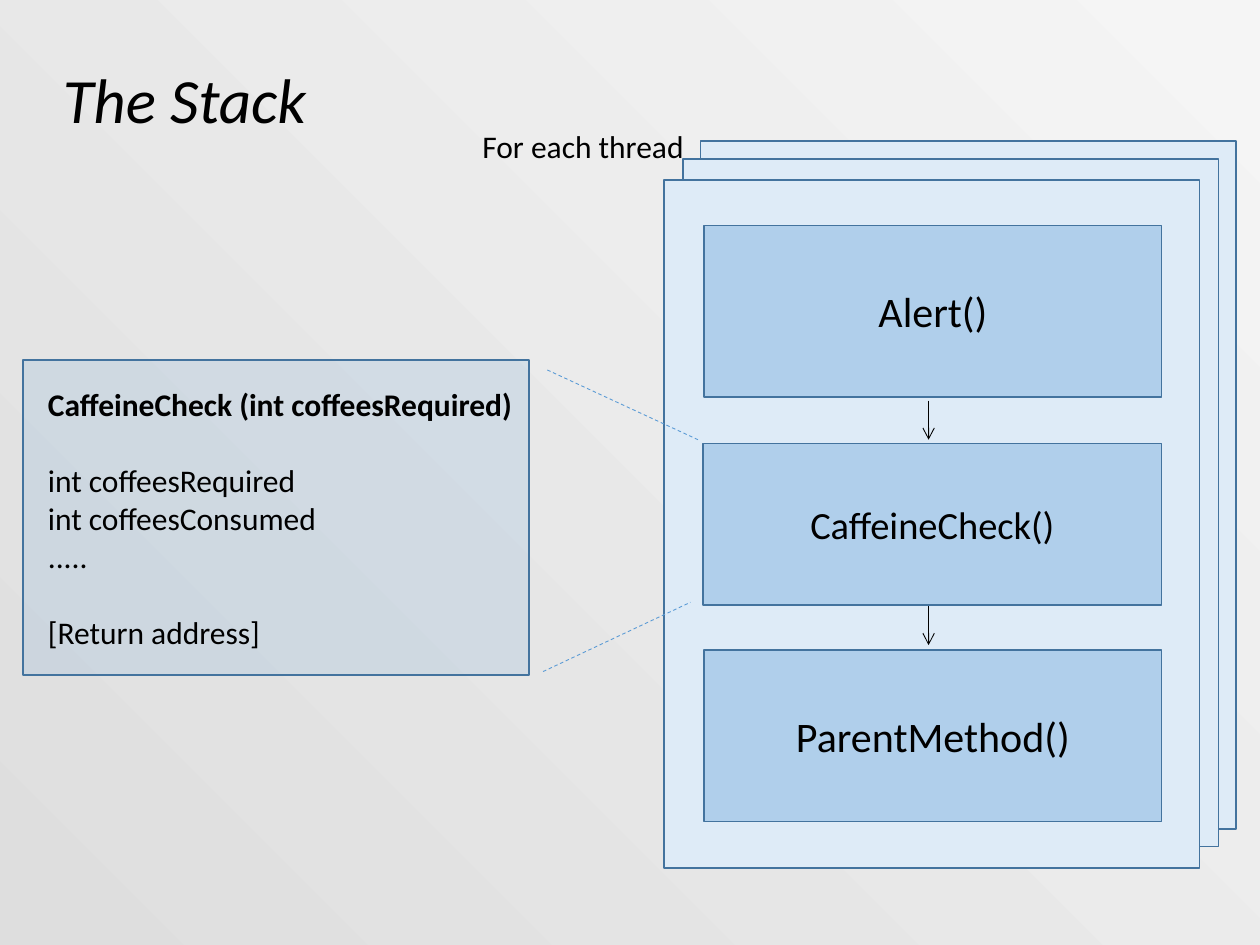
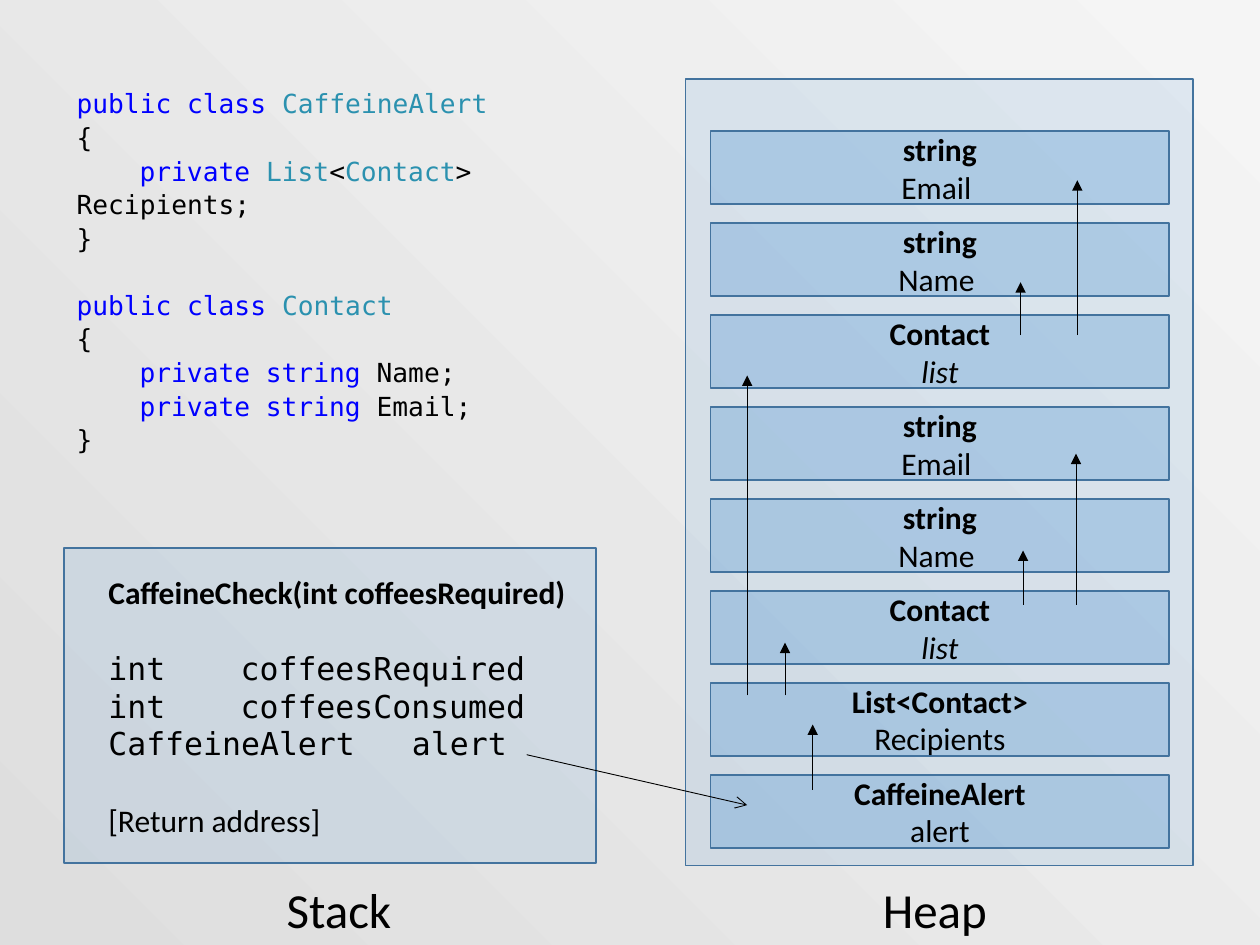
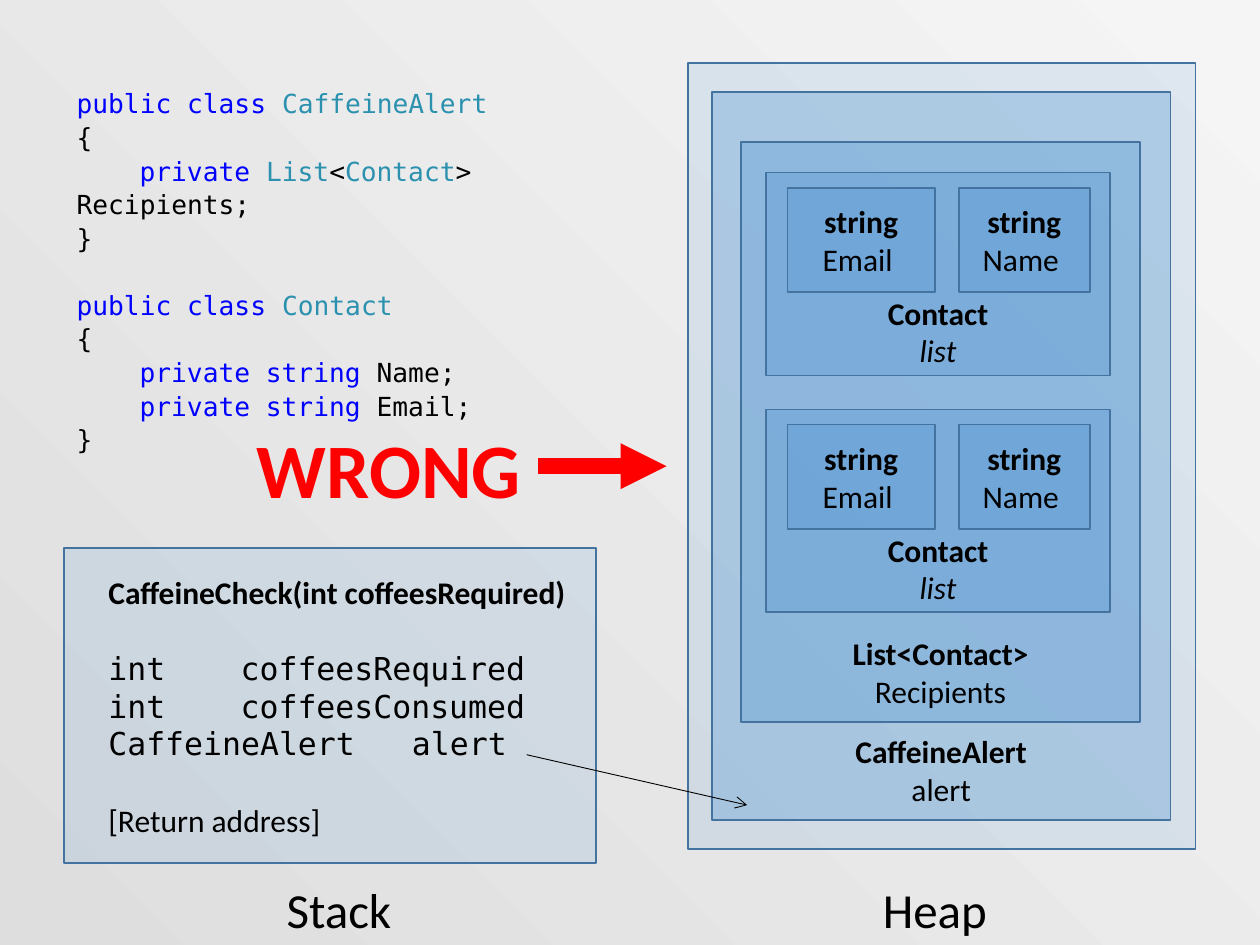
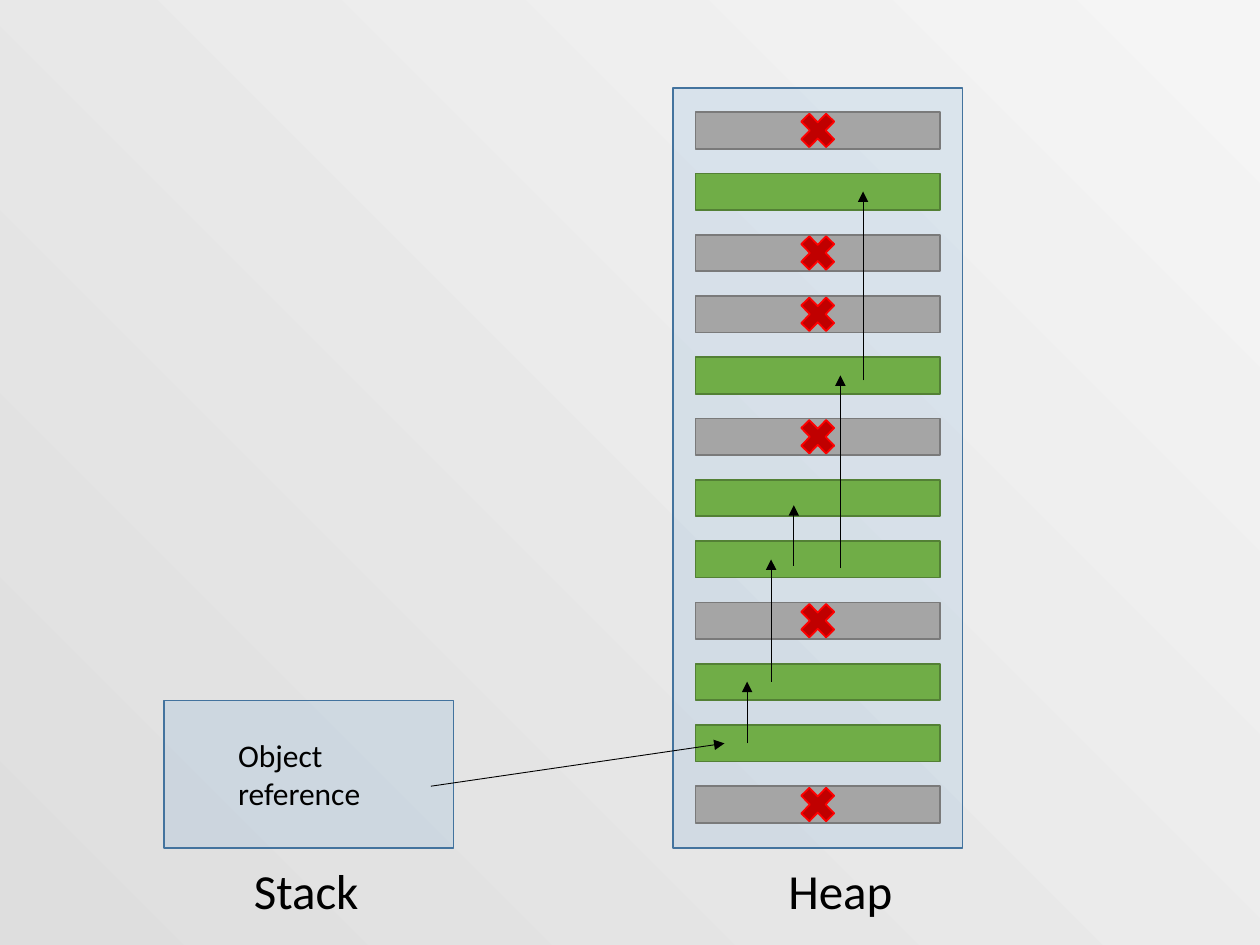
from dataclasses import dataclass
from lxml.etree import SubElement
from pptx import Presentation
from pptx.dml.color import RGBColor
from pptx.enum.dml import MSO_LINE
from pptx.enum.shapes import MSO_CONNECTOR, MSO_SHAPE
from pptx.enum.text import MSO_ANCHOR, MSO_AUTO_SIZE, PP_ALIGN
from pptx.oxml.ns import qn
from pptx.util import Inches, Pt


@dataclass(frozen=True)
class Theme:
    # colours
    light: str = "F5F5F5"
    dark: str = "DEDEDE"
    ink: str = "000000"
    blue: str = "5B9BD5"
    edge: str = "43739E"
    sheet: str = "DEEBF7"
    key: str = "0000FF"
    kind: str = "2B91AF"
    wrong: str = "FF0000"
    cross: str = "C00000"
    live: tuple = ("70AD47", "538035")
    dead: tuple = ("A5A5A5", "7A7A7A")
    # opacity of blue panels and cells, in percent
    pale: int = 15
    firm: int = 35
    # type
    sans: str = "Calibri"
    mono: str = "DejaVu Sans Mono"
    title: int = 36
    shout: int = 44
    label: int = 28
    call: int = 24
    body: int = 18
    code: int = 15
    # lines
    thin: float = 0.5
    thick: float = 8.75


T = Theme()


@dataclass(frozen=True)
class Box:
    x: float
    y: float
    w: float
    h: float

    def sub(self, dx, dy, w, h):
        return Box(self.x + dx, self.y + dy, w, h)

    def spot(self, dx, dy):
        return self.x + dx, self.y + dy

    def emu(self):
        return [Inches(v) for v in (self.x, self.y, self.w, self.h)]


@dataclass(frozen=True)
class Run:
    text: str
    color: str = T.ink
    bold: bool = False
    ital: bool = False
    face: str = T.sans


@dataclass(frozen=True)
class Line:
    runs: tuple
    gap: float = 0      # points above
    after: float = 0    # points below
    dent: float = 0     # first line, inches
    tab: float = 0      # tab stop, inches


def plain(*texts):
    return [Line((Run(text),)) for text in texts]


# ---- basic parts ----

def write(frame, lines, size, align=PP_ALIGN.LEFT, lead=None):
    frame.word_wrap = True
    for i, line in enumerate(lines):
        para = frame.paragraphs[0] if i == 0 else frame.add_paragraph()
        para.alignment = align
        if lead:
            para.line_spacing = lead
        para.space_before = Pt(line.gap)
        para.space_after = Pt(line.after)
        props = para._p.get_or_add_pPr()
        if line.dent:
            props.set("marL", "0")
            props.set("indent", str(Inches(line.dent)))
        if line.tab:
            stops = SubElement(props, qn("a:tabLst"))
            SubElement(stops, qn("a:tab"), pos=str(Inches(line.tab)), algn="l")
        for part in line.runs:
            run = para.add_run()
            run.text = part.text
            font = run.font
            font.name, font.size = part.face, Pt(size)
            font.bold, font.italic = part.bold, part.ital
            font.color.rgb = RGBColor.from_string(part.color)


def shape(slide, box, fill, edge, alpha=None, form=MSO_SHAPE.RECTANGLE):
    item = slide.shapes.add_shape(form, *box.emu())
    item.shadow.inherit = False
    item.fill.solid()
    item.fill.fore_color.rgb = RGBColor.from_string(fill)
    if alpha:
        color = item._element.spPr.find(qn("a:solidFill"))[0]
        SubElement(color, qn("a:alpha"), val=str(alpha * 1000))
    item.line.color.rgb = RGBColor.from_string(edge)
    item.line.width = Pt(1)
    return item


def panel(slide, box, lines=(), left=0.1):
    item = shape(slide, box, T.blue, T.edge, T.pale)
    item.text_frame.margin_left = Inches(left)
    item.text_frame.vertical_anchor = MSO_ANCHOR.MIDDLE
    if lines:
        write(item.text_frame, lines, T.body)


def cell(slide, box, lines, size=T.body, anchor=MSO_ANCHOR.MIDDLE, base=0.05):
    frame = shape(slide, box, T.blue, T.edge, T.firm).text_frame
    frame.vertical_anchor = anchor
    frame.margin_bottom = Inches(base)
    write(frame, lines, size, PP_ALIGN.CENTER)


def text(slide, box, lines, size, align=PP_ALIGN.LEFT, lead=None):
    frame = slide.shapes.add_textbox(*box.emu()).text_frame
    write(frame, lines, size, align, lead)
    frame.auto_size = MSO_AUTO_SIZE.SHAPE_TO_FIT_TEXT


def label(slide, box, name):
    text(slide, box, plain(name), T.label, PP_ALIGN.CENTER)


def link(slide, start, end, head="triangle", color=T.ink, width=T.thin, dash=None):
    item = slide.shapes.add_connector(
        MSO_CONNECTOR.STRAIGHT, *[Inches(v) for v in (*start, *end)])
    item.line.color.rgb = RGBColor.from_string(color)
    item.line.width = Pt(width)
    if dash:
        item.line.dash_style = dash
    props = item._element.spPr
    if head:
        SubElement(props.find(qn("a:ln")), qn("a:tailEnd"), type=head)
    SubElement(props, qn("a:effectLst"))


def rise(slide, box, arrows):
    """Upright arrows, each given as x, foot and tip."""
    for x, foot, tip in arrows:
        link(slide, box.spot(x, foot), box.spot(x, tip))


def page(deck):
    slide = deck.slides.add_slide(deck.slide_layouts[6])
    fill = slide.background.fill
    fill.gradient()
    fill.gradient_angle = 225
    for stop, color in zip(fill.gradient_stops, (T.light, T.dark)):
        stop.color.rgb = RGBColor.from_string(color)
    return slide


# ---- wording ----

SKIP = 22       # one empty line of body text, in points
STEP = 18.7     # one empty line of code, in points


def entry(kind, name, ital=False):
    return [Line((Run(kind, bold=True),)), Line((Run(name, ital=ital),))]


MAIL = entry("string", "Email ")
NAME = entry("string", "Name ")
ITEM = entry("Contact", "list", True)
LIST = entry("List<Contact>", "Recipients")
ALERT = entry("CaffeineAlert", "alert")


def code(*parts, **rest):
    return Line(tuple(Run(word, color, face=T.mono) for word, color in parts), **rest)


def head(name, gap=0):
    return code(("public class ", T.key), (name, T.kind), gap=gap)


def field(name):
    return code(("private string", T.key), (f" {name};", T.ink), dent=0.5)


def brace(mark, after=0):
    return code((mark, T.ink), after=after)


def local(kind, name, tab, gap=0):
    return code((f"{kind}\t{name}", T.ink), tab=tab, gap=gap)


SOURCE = [
    head("CaffeineAlert"),
    brace("{"),
    code(("private ", T.key), ("List", T.kind), ("<", T.ink), ("Contact", T.kind),
         ("> Recipients;", T.ink), dent=0.5),
    brace("}"),
    head("Contact", STEP),
    brace("{"),
    field("Name"),
    field("Email"),
    brace("}", 8),
]
BACK = Line((Run("[Return address]"),), gap=SKIP)
LOCALS = [
    Line((Run("CaffeineCheck(int coffeesRequired)", bold=True),)),
    local("int", "coffeesRequired", 1.05, SKIP),
    local("int", "coffeesConsumed", 1.05),
    local("CaffeineAlert", "alert", 2.41),
    BACK,
]
CALL = [
    Line((Run("CaffeineCheck (int coffeesRequired)", bold=True),)),
    Line((Run("int coffeesRequired"),), gap=SKIP),
    *plain("int coffeesConsumed", "....."),
    BACK,
]


# ---- slide 1: calls on the stack ----

def sheets(slide, box):
    for dx, dy in ((0.29, -0.31), (0.15, -0.17), (0, 0)):
        shape(slide, box.sub(dx, dy, box.w, box.h), T.sheet, T.edge)


def calls(slide, box):
    for name, dx, dy, w, h, size in (
            ("Alert()", 0.32, 0.36, 3.63, 1.36, T.call),
            ("CaffeineCheck()", 0.31, 2.09, 3.64, 1.28, T.call - 2),
            ("ParentMethod()", 0.32, 3.73, 3.63, 1.36, T.call)):
        cell(slide, box.sub(dx, dy, w, h), plain(name), size)
    for dy in (1.75, 3.38):
        link(slide, box.spot(2.1, dy), box.spot(2.1, dy + 0.31), "arrow")


def zoom(slide, box):
    panel(slide, box, CALL, 0.2)
    # guides between the panel and its call
    for start, end in (((5.36, 0.63), (4.15, 0.07)), ((4.13, 2.47), (5.3, 1.92))):
        link(slide, box.spot(*start), box.spot(*end), None, T.blue,
             dash=MSO_LINE.DASH)


def threads(deck):
    slide = page(deck)
    stack = Box(5.27, 1.43, 4.25, 5.46)
    sheets(slide, stack)
    zoom(slide, Box(0.18, 2.86, 4.02, 2.5))
    text(slide, Box(0.4, 0.43, 2.81, 0.71),
         [Line((Run("The Stack", ital=True),))], T.title)
    calls(slide, stack)
    text(slide, Box(3.73, 0.96, 2.43, 0.4), plain("For each thread"), T.body)


# ---- slides 2 and 3: code and stack beside the heap ----

def left(slide, box):
    text(slide, box.sub(0, 0, 4.65, 2.8), SOURCE, T.code, lead=1.07)
    panel(slide, box.sub(0, 3.72, box.w, 2.5), LOCALS, 0.35)
    link(slide, box.spot(3.67, 5.36), box.spot(5.42, 5.76), "arrow")
    label(slide, box.sub(0.85, 6.3, 2.66, 0.57), "Stack")
    label(slide, box.sub(5.58, 6.3, 2.66, 0.57), "Heap")


def flat(slide, box):
    panel(slide, box)
    rows = (MAIL, NAME, ITEM, MAIL, NAME, ITEM, LIST, ALERT)
    for i, row in enumerate(rows):
        cell(slide, box.sub(0.2, 0.41 + 0.73 * i, 3.64, 0.58), row)
    rise(slide, box, (
        (1.01, 5.64, 5.12), (0.79, 4.89, 4.47), (0.49, 4.89, 2.35),
        (2.68, 4.17, 3.74), (2.66, 2.03, 1.61),
        (3.1, 4.17, 2.97), (3.11, 2.03, 0.8)))


def person(slide, box):
    cell(slide, box, ITEM, anchor=MSO_ANCHOR.BOTTOM)
    cell(slide, box.sub(1.53, 0.12, 1.04, 0.83), NAME)
    cell(slide, box.sub(0.17, 0.12, 1.17, 0.83), MAIL)


def nested(slide, box):
    panel(slide, box)
    for inner, lines in ((box.sub(0.19, 0.23, 3.64, 5.78), ALERT),
                         (box.sub(0.42, 0.63, 3.17, 4.6), LIST)):
        cell(slide, inner, lines, anchor=MSO_ANCHOR.BOTTOM, base=0.1)
    for dy in (2.75, 0.87):
        person(slide, box.sub(0.62, dy, 2.73, 1.61))


def verdict(slide, box):
    text(slide, box, [Line((Run("WRONG", T.wrong, True),))], T.shout)
    link(slide, box.spot(2.33, 0.4), box.spot(3.35, 0.4),
         color=T.wrong, width=T.thick)


def layout(deck, heap, box):
    slide = page(deck)
    heap(slide, box)
    left(slide, Box(0.51, 0.63, 4.22, 6.87))
    return slide


# ---- slide 4: live and dead objects ----

def bars(slide, box):
    panel(slide, box)
    marks = "xoxxoxooxoox"
    step = 5.35 / (len(marks) - 1)
    for i, mark in enumerate(marks):
        tint = T.dead if mark == "x" else T.live
        shape(slide, box.sub(0.18, 0.19 + step * i, 1.94, 0.29), *tint)
    rise(slide, box, (
        (0.59, 5.2, 4.71), (0.78, 4.71, 3.74), (0.96, 3.79, 3.31),
        (1.33, 3.81, 2.28), (1.51, 2.32, 0.82)))
    # crosses on the dead objects
    for i, mark in enumerate(marks):
        if mark == "x":
            shape(slide, box.sub(0.96, 0.14 + step * i, 0.38, 0.39), T.cross,
                  T.wrong, form=MSO_SHAPE.MATH_MULTIPLY)
    label(slide, box.sub(0, 6.08, 2.66, 0.57), "Heap")


def root(slide, box):
    panel(slide, box, plain("Object reference"), 0.59)
    link(slide, box.spot(2.12, 0.68), box.spot(4.45, 0.34))
    label(slide, box.sub(-0.2, 1.22, 2.66, 0.57), "Stack")


def garbage(deck):
    slide = page(deck)
    bars(slide, Box(5.34, 0.7, 2.3, 6.03))
    root(slide, Box(1.3, 5.56, 2.3, 1.17))


def main():
    deck = Presentation()
    deck.slide_width, deck.slide_height = Inches(10), Inches(7.5)
    threads(deck)
    layout(deck, flat, Box(5.44, 0.63, 4.03, 6.24))
    slide = layout(deck, nested, Box(5.46, 0.5, 4.03, 6.24))
    verdict(slide, Box(1.94, 3.3, 2.31, 0.84))
    garbage(deck)
    deck.save("out.pptx")


if __name__ == "__main__":
    main()
